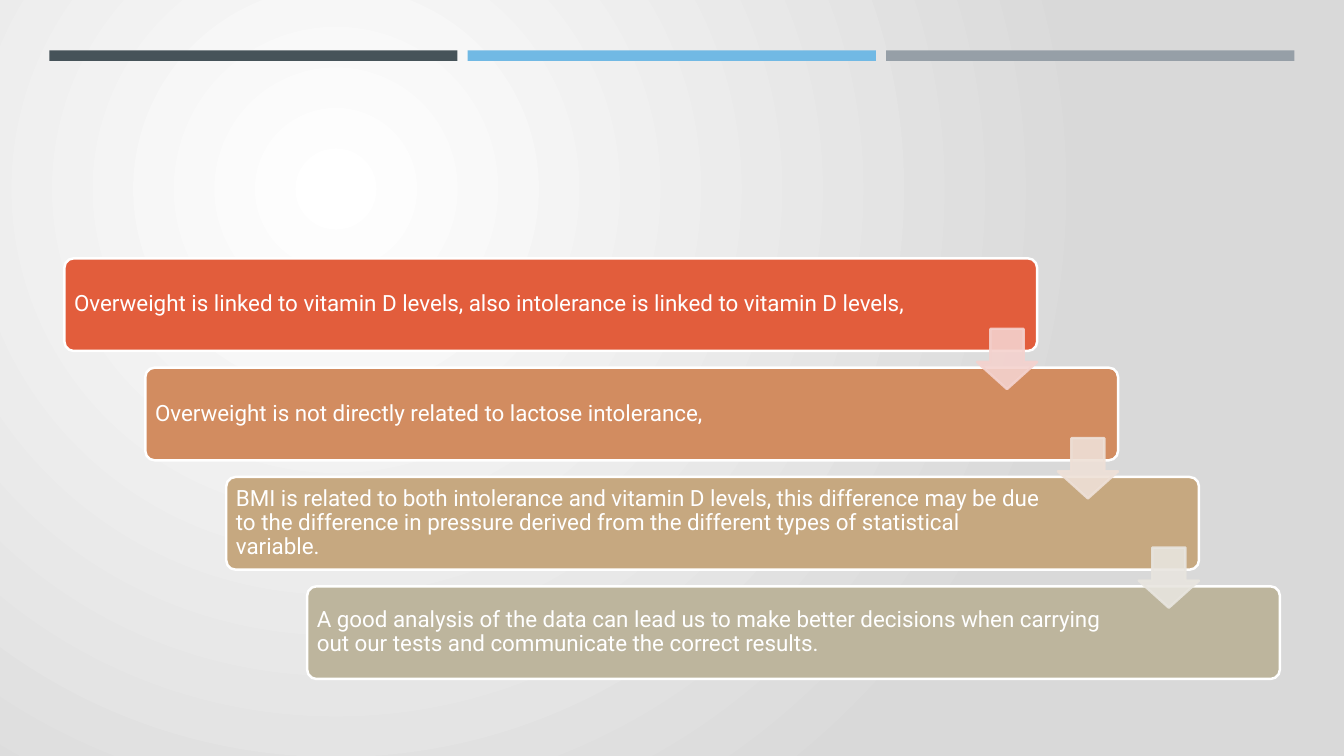
from lxml import etree
from pptx import Presentation
from pptx.dml.color import RGBColor
from pptx.enum import shapes, text
from pptx.oxml.ns import qn
from pptx.util import Pt

WHITE = RGBColor(0xFF, 0xFF, 0xFF)
GREY = RGBColor(0xD9, 0xD9, 0xD9)
SLATE = RGBColor(0x46, 0x53, 0x59)
SKY = RGBColor(0x71, 0xB9, 0xE4)
STEEL = RGBColor(0x96, 0x9F, 0xA7)
RED = RGBColor(0xE2, 0x5D, 0x3C)
ORANGE = RGBColor(0xD2, 0x8C, 0x60)
TAN = RGBColor(0xC6, 0xA8, 0x80)
SAND = RGBColor(0xBD, 0xB5, 0x9D)
PINK = RGBColor(0xF4, 0xD2, 0xCE)
PEACH = RGBColor(0xEE, 0xE0, 0xD7)
IVORY = RGBColor(0xE8, 0xE5, 0xDF)

# Content: statement, box colour, right inset
CONCLUSIONS = [
    ("Overweight is linked to vitamin D levels, also intolerance is linked to "
     "vitamin D levels,", RED, 79),
    ("Overweight is not directly related to lactose intolerance,", ORANGE, 106),
    ("BMI is related to both intolerance and vitamin D levels, this difference "
     "may be due to the difference in pressure derived from the different types "
     "of statistical variable.", TAN, 106),
    ("A good analysis of the data can lead us to make better decisions when "
     "carrying out our tests and communicate the correct results.", SAND, 106),
]
ARROW_COLORS = [PINK, PEACH, IVORY]
BAR_COLORS = [SLATE, SKY, STEEL]

# Layout, in points
BAR_LEFT, BAR_TOP, BAR_WIDTH, BAR_HEIGHT, BAR_PITCH = 35.2, 36, 291.6, 7.5, 298.9
STEP_LEFT, STEP_TOP, STEP_WIDTH, STEP_HEIGHT = 46, 184.5, 694.8, 66.2
STEP_RIGHT, STEP_DOWN = 57.8, 78.1
ARROW_SIZE, ARROW_DROP = 43, 50.4
INSET = 5

deck = Presentation()
deck.slide_width, deck.slide_height = Pt(960), Pt(540)
slide = deck.slides.add_slide(deck.slide_layouts[6])


def add_block(preset, left, top, width, height, color, outline=None):
    block = slide.shapes.add_shape(preset, Pt(left), Pt(top), Pt(width), Pt(height))
    block.shadow.inherit = False
    block.fill.solid()
    block.fill.fore_color.rgb = color
    if outline is None:
        block.line.fill.background()
    else:
        block.line.color.rgb = outline
        block.line.width = Pt(1.75)
    return block


# Background: circular glow centred in the upper left
glow = slide.background.fill
glow.gradient()
for stop, position, color in zip(glow.gradient_stops, (0, 1), (WHITE, GREY)):
    stop.position = position
    stop.color.rgb = color
gradient = slide.element.find(".//" + qn("a:gradFill"))
gradient.remove(gradient.find(qn("a:lin")))
circle = etree.SubElement(gradient, qn("a:path"), path="circle")
etree.SubElement(circle, qn("a:fillToRect"), l="50000", t="50000", r="100000", b="100000")

# Bars across the top
for i, color in enumerate(BAR_COLORS):
    add_block(shapes.MSO_SHAPE.RECTANGLE, BAR_LEFT + i * BAR_PITCH, BAR_TOP,
              BAR_WIDTH, BAR_HEIGHT, color)

# Staircase of conclusions
for i, (statement, color, right_inset) in enumerate(CONCLUSIONS):
    step = add_block(shapes.MSO_SHAPE.ROUNDED_RECTANGLE, STEP_LEFT + i * STEP_RIGHT,
                     STEP_TOP + i * STEP_DOWN, STEP_WIDTH, STEP_HEIGHT, color, WHITE)
    step.adjustments[0] = 0.1
    frame = step.text_frame
    frame.word_wrap = True
    frame.vertical_anchor = text.MSO_ANCHOR.MIDDLE
    frame.margin_left = frame.margin_top = frame.margin_bottom = Pt(INSET)
    frame.margin_right = Pt(right_inset)
    paragraph = frame.paragraphs[0]
    paragraph.text = statement
    paragraph.alignment = text.PP_ALIGN.LEFT
    paragraph.line_spacing = 0.9
    paragraph.font.name = "Roboto"
    paragraph.font.size = Pt(16)
    paragraph.font.color.rgb = WHITE

# Translucent arrows, flush with the right edge of the step they leave
for i, color in enumerate(ARROW_COLORS):
    arrow = add_block(shapes.MSO_SHAPE.DOWN_ARROW,
                      STEP_LEFT + i * STEP_RIGHT + STEP_WIDTH - ARROW_SIZE,
                      STEP_TOP + i * STEP_DOWN + ARROW_DROP,
                      ARROW_SIZE, ARROW_SIZE, color, color)
    arrow.adjustments[0], arrow.adjustments[1] = 0.55, 0.45
    for tint in arrow.element.spPr.iter(qn("a:srgbClr")):
        etree.SubElement(tint, qn("a:alpha"), val="90000")

deck.save("out.pptx")
